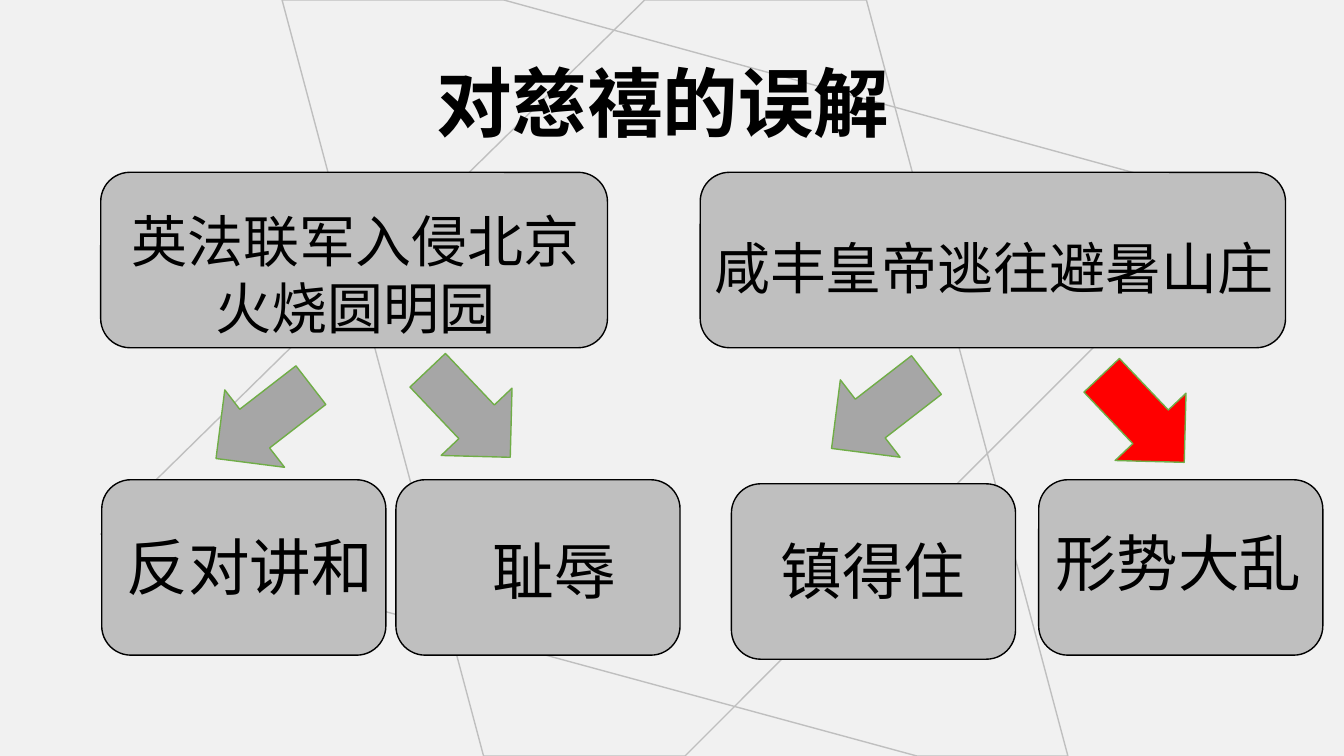
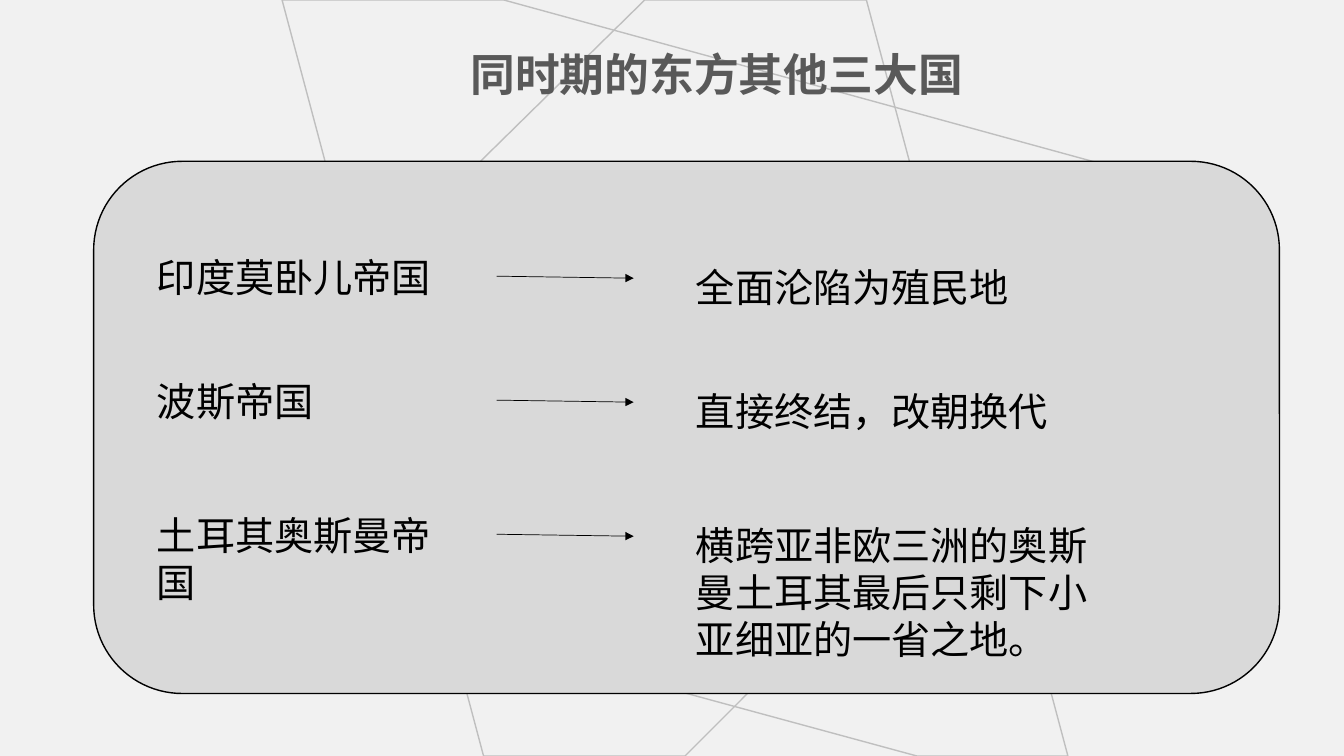
from dataclasses import dataclass

from lxml.etree import SubElement
from pptx import Presentation
from pptx.dml.color import RGBColor
from pptx.enum.shapes import MSO_CONNECTOR as Line, MSO_SHAPE as Shape
from pptx.enum.text import MSO_ANCHOR as Anchor, PP_ALIGN as Align
from pptx.oxml.ns import qn
from pptx.util import Inches, Pt

COLS, ROWS = 133.4, 75  # grid of square cells
CELL = Inches(0.1)

BACK, WEB = "F1F1F1", "BFBFBF"
INK, TITLE_GREY = "000000", "595959"
CARD_FILL, PANEL_FILL = "BFBFBF", "D9D9D9"
ARROW_GREY, ARROW_RED, ARROW_EDGE = "A6A6A6", "FF0000", "70AD47"
BODY_FONT, CJK_FONT = "Arial", "Noto Sans CJK SC"

WEB_OUTLINES = (
    ((86, 0), (106.3, 75), (91.3, 75), (10.3, 53.3), (63.8, 0)),
    ((28.2, 0), (50, 0), (123.4, 19.5), (68, 75), (48.2, 75)),
)


@dataclass(frozen=True)
class Box:
    """Left, top, width and height in grid cells."""
    x: float
    y: float
    w: float
    h: float

    def emu(self) -> tuple[int, ...]:
        return tuple(cells(v) for v in (self.x, self.y, self.w, self.h))


@dataclass(frozen=True)
class Style:
    size: int
    align: Align = Align.CENTER
    font: str = BODY_FONT
    color: str = INK
    bold: bool = False
    wrap: bool = True
    anchor: Anchor = Anchor.TOP
    spacing: float = 1.0


@dataclass(frozen=True)
class Card:
    box: Box
    label: Box
    text: str
    style: Style


@dataclass(frozen=True)
class BlockArrow:
    x: float
    y: float
    turn: float
    fill: str = ARROW_GREY


@dataclass(frozen=True)
class Fate:
    y: float
    empire: str
    outcome: str
    lines: tuple[int, int] = (1, 1)


EVENT = Style(40)
EVENT_ONE_LINE = Style(40, Align.LEFT, wrap=False)
REACTION = Style(44)
REACTION_LEFT = Style(44, Align.LEFT)
ENTRY = Style(28, Align.LEFT)
BIG_TITLE = Style(54, bold=True, anchor=Anchor.MIDDLE, spacing=0.9)
SMALL_TITLE = Style(32, font=CJK_FONT, color=TITLE_GREY, bold=True,
                    anchor=Anchor.MIDDLE, spacing=0.9)

CARD_H, REACTION_W, LABEL_W, LABEL_H = 17.4, 28.2, 28.9, 8.4
DOWN_LEFT, DOWN_RIGHT = 52.3, 316.5


def reaction(x: float, y: float, label_x: float, label_y: float,
             text: str, style: Style = REACTION) -> Card:
    return Card(Box(x, y, REACTION_W, CARD_H),
                Box(label_x, label_y, LABEL_W, LABEL_H), text, style)


CARDS = (
    Card(Box(10, 17.1, 50.3, CARD_H), Box(12, 20, 46.6, 14.4),
         "英法联军入侵北京 火烧圆明园", EVENT),
    Card(Box(69.5, 17.1, 58.1, CARD_H), Box(69.9, 22.7, 57.5, 7.7),
         "咸丰皇帝逃往避暑山庄", EVENT_ONE_LINE),
    reaction(10.1, 47.6, 11.6, 52, "反对讲和", REACTION_LEFT),
    reaction(39.3, 47.6, 40.6, 52.4, "耻辱"),
    reaction(72.6, 48, 72.2, 52.4, "镇得住"),
    reaction(103.1, 47.6, 102.5, 51.6, "形势大乱"),
)
ARROWS = (
    BlockArrow(21.3, 35.9, DOWN_LEFT),
    BlockArrow(41.7, 35.1, DOWN_RIGHT),
    BlockArrow(82.4, 34.9, DOWN_LEFT),
    BlockArrow(108.6, 35.6, DOWN_RIGHT, ARROW_RED),
)
FATES = (
    Fate(24.6, "印度莫卧儿帝国", "全面沦陷为殖民地"),
    Fate(36.9, "波斯帝国", "直接终结，改朝换代"),
    Fate(50.2, "土耳其奥斯曼帝国",
         "横跨亚非欧三洲的奥斯曼土耳其最后只剩下小亚细亚的一省之地。", (2, 3)),
)


def cells(n: float) -> int:
    return round(n * CELL)


def rgb(color: str) -> RGBColor:
    return RGBColor.from_string(color)


def outline(sp, color: str, width: float = 1) -> None:
    sp.line.color.rgb = rgb(color)
    sp.line.width = Pt(width)


def add_text(s, box: Box, text: str, style: Style) -> None:
    tf = s.shapes.add_textbox(*box.emu()).text_frame
    tf.word_wrap = style.wrap
    tf.vertical_anchor = style.anchor
    tf.text = text
    p = tf.paragraphs[0]
    p.alignment = style.align
    p.line_spacing = style.spacing
    r = p.runs[0]
    r.font.size = Pt(style.size)
    r.font.bold = style.bold
    r.font.name = style.font
    r.font.color.rgb = rgb(style.color)
    # East Asian glyphs take their own typeface element
    SubElement(r.font._element, qn("a:ea"), typeface=style.font)


def add_shape(s, kind: Shape, box: Box, fill: str, edge: str):
    sp = s.shapes.add_shape(kind, *box.emu())
    sp.shadow.inherit = False
    sp.fill.solid()
    sp.fill.fore_color.rgb = rgb(fill)
    outline(sp, edge)
    return sp


def add_block_arrow(s, arrow: BlockArrow) -> None:
    sp = add_shape(s, Shape.DOWN_ARROW, Box(arrow.x, arrow.y, 9.7, 11.9),
                   arrow.fill, ARROW_EDGE)
    sp.rotation = arrow.turn


def add_thin_arrow(s, x1: float, y1: float, x2: float, y2: float) -> None:
    cn = s.shapes.add_connector(Line.STRAIGHT, *map(cells, (x1, y1, x2, y2)))
    outline(cn, INK, 0.5)
    SubElement(cn.line._get_or_add_ln(), qn("a:tailEnd"), type="triangle")
    SubElement(cn._element.spPr, qn("a:effectLst"))


def add_slide(prs, title: str, box: Box, style: Style):
    """Blank slide with the line web behind its title."""
    s = prs.slides.add_slide(prs.slide_layouts[6])
    for start, *rest in WEB_OUTLINES:
        builder = s.shapes.build_freeform(*start, scale=CELL)
        builder.add_line_segments(rest, close=True)
        sp = builder.convert_to_shape()
        sp.shadow.inherit = False
        sp.fill.background()
        outline(sp, WEB)
    add_text(s, box, title, style)
    return s


def misreading_slide(prs) -> None:
    s = add_slide(prs, "对慈禧的误解", Box(29.1, 2.1, 73.4, 17.1), BIG_TITLE)
    for card in CARDS:
        add_shape(s, Shape.ROUNDED_RECTANGLE, card.box, CARD_FILL, INK)
        add_text(s, card.label, card.text, card.style)
    for arrow in ARROWS:
        add_block_arrow(s, arrow)


def empires_slide(prs) -> None:
    s = add_slide(prs, "同时期的东方其他三大国",
                  Box(40.3, 3.2, 61.7, 8.9), SMALL_TITLE)
    add_shape(s, Shape.ROUNDED_RECTANGLE, Box(9.3, 16, 117.7, 52.8),
              PANEL_FILL, INK)
    for fate in FATES:
        left_h, right_h = (1 + 4.7 * n for n in fate.lines)
        add_text(s, Box(14.6, fate.y, 30.7, left_h), fate.empire, ENTRY)
        add_thin_arrow(s, 49.3, fate.y + 2.8, 62.9, fate.y + 3)
        add_text(s, Box(68.1, fate.y + 1, 42.3, right_h), fate.outcome, ENTRY)


def main() -> None:
    prs = Presentation()
    prs.slide_width, prs.slide_height = cells(COLS), cells(ROWS)
    fill = prs.slide_master.background.fill
    fill.solid()
    fill.fore_color.rgb = rgb(BACK)
    misreading_slide(prs)
    empires_slide(prs)
    prs.save("out.pptx")


if __name__ == "__main__":
    main()
